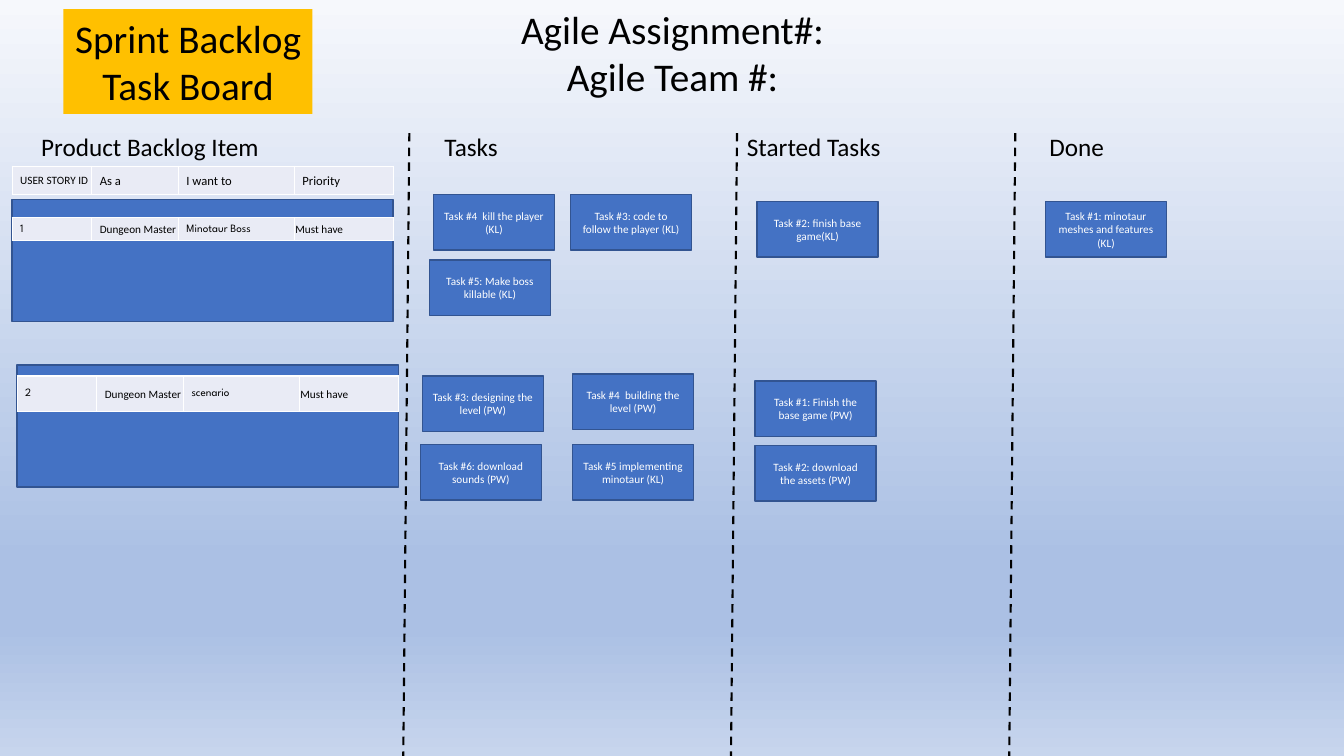
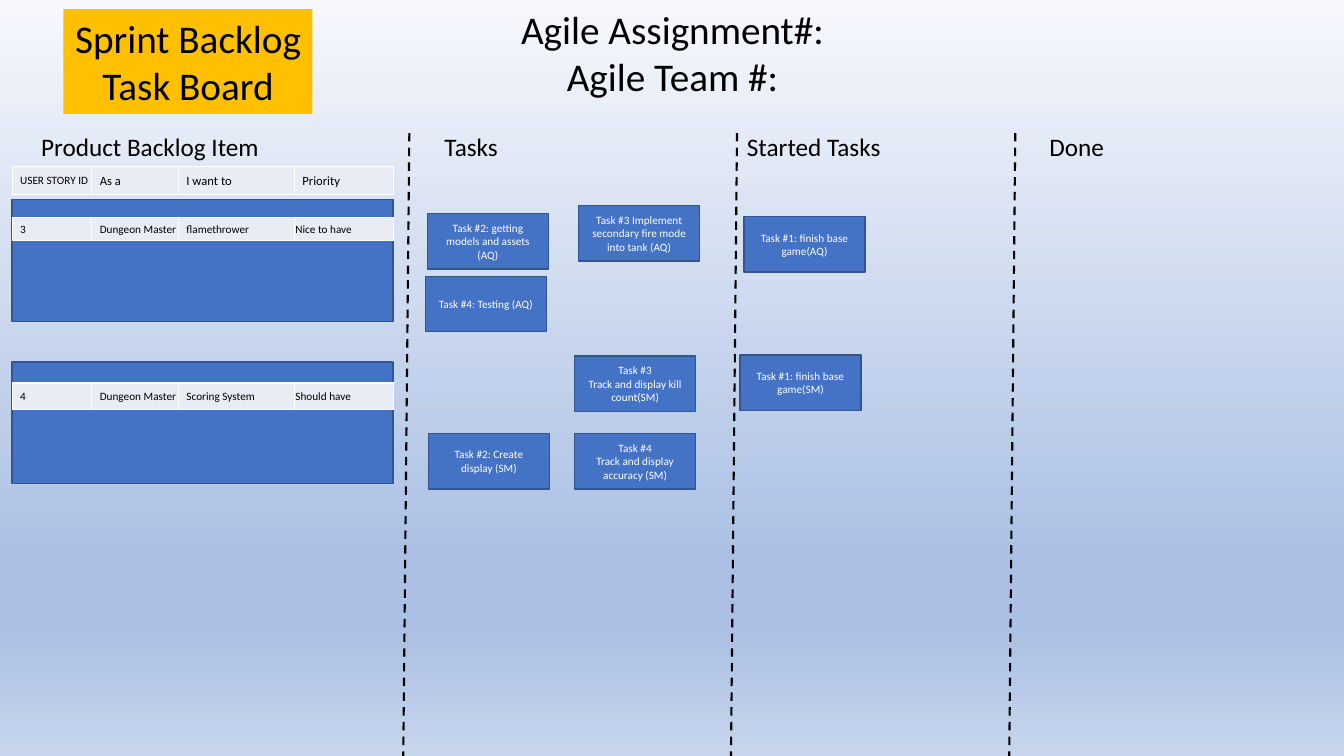
from lxml import etree
from pptx import Presentation
from pptx.dml.color import RGBColor
from pptx.enum.dml import MSO_LINE
from pptx.enum.shapes import MSO_CONNECTOR, MSO_SHAPE
from pptx.enum.text import MSO_ANCHOR, MSO_AUTO_SIZE, PP_ALIGN
from pptx.oxml.ns import qn
from pptx.util import Inches, Pt

DASH = MSO_LINE.DASH
STRAIGHT = MSO_CONNECTOR.STRAIGHT
RECTANGLE = MSO_SHAPE.RECTANGLE
TOP, MIDDLE = MSO_ANCHOR.TOP, MSO_ANCHOR.MIDDLE
FIT_SHAPE = MSO_AUTO_SIZE.SHAPE_TO_FIT_TEXT
LEFT, CENTER = PP_ALIGN.LEFT, PP_ALIGN.CENTER

BLACK = RGBColor(0x00, 0x00, 0x00)
WHITE = RGBColor(0xFF, 0xFF, 0xFF)
BLUE = RGBColor(0x44, 0x72, 0xC4)
DARK_BLUE = RGBColor(0x32, 0x54, 0x91)
GOLD = RGBColor(0xFF, 0xC0, 0x00)
PALE_BLUE = RGBColor(0xE9, 0xEB, 0xF5)
SKY_TOP = RGBColor(0xF6, 0xF8, 0xFC)
SKY_MIDDLE = RGBColor(0xAB, 0xC0, 0xE4)
SKY_BOTTOM = RGBColor(0xC7, 0xD5, 0xED)
SKY_STOPS = [(0, SKY_TOP), (74, SKY_MIDDLE), (83, SKY_MIDDLE), (100, SKY_BOTTOM)]

BODY_FONT = "Calibri"
ACCENT_FONT = "League Spartan"

BOARD_LEFT = 0.12
COLUMN_WIDTHS = [0.79, 0.86, 1.15, 0.98]
BOARD_WIDTH = sum(COLUMN_WIDTHS)
PANEL_HEIGHT = 1.21
CARD_WIDTH, CARD_HEIGHT = 1.2, 0.55
CELL_INSET, TIGHT_INSET = 0.08, 0.01
HEADINGS = ["Product Backlog Item", "Tasks", "Started Tasks", "Done"]
HEADING_TABS = [4, 7, 10]
DIVIDERS = [4.06, 7.31, 10.07]
DIVIDER_TOP, DIVIDER_BOTTOM, DIVIDER_SLANT = 1.32, 7.5, 0.06
STORY_HEADER = ["USER STORY ID", "As a", "I want to", "Priority"]

BOARDS = [
    {
        "stories": [
            (0.12, 1.98, 2.16, 0.23, ["1", "Dungeon Master", "Minotaur Boss", "Must have"]),
            (0.17, 3.62, 3.73, 0.35, ["2", "Dungeon Master", "scenario", "Must have"]),
        ],
        "story_fonts": [ACCENT_FONT, BODY_FONT, ACCENT_FONT, BODY_FONT],
        "cards": [
            (4.3, 1.93, "Task #4  kill the player (KL)"),
            (5.66, 1.93, "Task #3: code to follow the player (KL)"),
            (4.26, 2.58, "Task #5: Make boss killable (KL)"),
            (7.51, 2, "Task #2: finish base game(KL)"),
            (10.37, 2, "Task #1: minotaur meshes and features (KL)"),
            (4.19, 3.73, "Task #3: designing the level (PW)"),
            (5.68, 3.71, "Task #4  building the level (PW)"),
            (4.17, 4.41, "Task #6: download sounds (PW)"),
            (5.68, 4.41, "Task #5 implementing minotaur (KL)"),
            (7.49, 3.78, "Task #1: Finish the base game (PW)"),
            (7.49, 4.42, "Task #2: download the assets (PW)"),
        ],
    },
    {
        "stories": [
            (0.12, 1.98, 2.16, 0.23, ["3", "Dungeon Master", "flamethrower", "Nice to have"]),
            (0.12, 3.59, 3.8, 0.26, ["4", "Dungeon Master", "Scoring System", "Should have"]),
        ],
        "story_fonts": [BODY_FONT] * 4,
        "cards": [
            (4.24, 2.12, "Task #2: getting models and assets (AQ)"),
            (5.74, 2.04, "Task #3 Implement secondary fire mode into tank (AQ)"),
            (4.22, 2.74, "Task #4: Testing (AQ)"),
            (7.38, 2.15, "Task #1: finish base game(AQ)"),
            (5.7, 3.53, "Task #3\nTrack and display kill count(SM)"),
            (4.25, 4.3, "Task #2: Create display (SM)"),
            (5.7, 4.3, "Task #4\nTrack and display accuracy (SM)"),
            (7.34, 3.52, "Task #1: finish base game(SM)"),
        ],
    },
]


def paint_background(slide):
    fill = slide.background.fill
    fill.gradient()
    fill.gradient_angle = 270
    stop_list = next(slide.element.iter(qn("a:gsLst")))
    for stop in list(stop_list):
        stop_list.remove(stop)
    for percent, color in SKY_STOPS:
        stop = etree.SubElement(stop_list, qn("a:gs"), pos=str(percent * 1000))
        etree.SubElement(stop, qn("a:srgbClr"), val=str(color))


def write(text_frame, text, size, color=BLACK, align=LEFT, font=BODY_FONT):
    for index, line in enumerate(text.split("\n")):
        paragraph = text_frame.add_paragraph() if index else text_frame.paragraphs[0]
        paragraph.alignment = align
        run = paragraph.add_run()
        run.text = line
        run.font.size = Pt(size)
        run.font.name = font
        run.font.color.rgb = color


def fit_to_text(text_frame):
    text_frame.word_wrap = False
    text_frame.auto_size = FIT_SHAPE
    text_frame.vertical_anchor = TOP


def add_text(slide, left, top, width, height, text, size, align=LEFT):
    box = slide.shapes.add_textbox(Inches(left), Inches(top), Inches(width), Inches(height))
    fit_to_text(box.text_frame)
    write(box.text_frame, text, size, align=align)
    return box


def add_rectangle(slide, left, top, width, height, fill, line=None):
    shape = slide.shapes.add_shape(
        RECTANGLE, Inches(left), Inches(top), Inches(width), Inches(height))
    shape.shadow.inherit = False
    shape.fill.solid()
    shape.fill.fore_color.rgb = fill
    if line is None:
        shape.line.fill.background()
    else:
        shape.line.color.rgb = line
        shape.line.width = Pt(1)
    return shape


def add_card(slide, left, top, text):
    card = add_rectangle(slide, left, top, CARD_WIDTH, CARD_HEIGHT, BLUE, DARK_BLUE)
    card.text_frame.word_wrap = True
    card.text_frame.vertical_anchor = MIDDLE
    write(card.text_frame, text, 8, WHITE, CENTER)


def add_divider(slide, left):
    divider = slide.shapes.add_connector(
        STRAIGHT, Inches(left), Inches(DIVIDER_TOP),
        Inches(left - DIVIDER_SLANT), Inches(DIVIDER_BOTTOM))
    divider.line.color.rgb = BLACK
    divider.line.width = Pt(1.5)
    divider.line.dash_style = DASH
    etree.SubElement(divider.element.spPr, qn("a:effectLst"))


def add_headings(slide):
    box = add_text(slide, 0.31, 1.25, 10.85, 0.4, "\t".join(HEADINGS), 18)
    properties = box.text_frame.paragraphs[0]._p.get_or_add_pPr()
    tab_list = etree.SubElement(properties, qn("a:tabLst"))
    for position in HEADING_TABS:
        etree.SubElement(tab_list, qn("a:tab"), pos=str(Inches(position)), algn="l")


def add_borders(cell):
    properties = cell._tc.get_or_add_tcPr()
    for side in ("a:lnL", "a:lnR", "a:lnT", "a:lnB"):
        border = etree.SubElement(properties, qn(side), w=str(Pt(1)))
        fill = etree.SubElement(border, qn("a:solidFill"))
        etree.SubElement(fill, qn("a:srgbClr"), val=str(WHITE))


def add_story_row(slide, left, top, height, texts, sizes, fonts, last_inset):
    frame = slide.shapes.add_table(
        1, len(texts), Inches(left), Inches(top), Inches(BOARD_WIDTH), Inches(height))
    table = frame.table
    table.first_row = False
    table.horz_banding = False
    insets = [CELL_INSET] * (len(texts) - 1) + [last_inset]
    for index, text in enumerate(texts):
        table.columns[index].width = Inches(COLUMN_WIDTHS[index])
        cell = table.cell(0, index)
        add_borders(cell)
        cell.fill.solid()
        cell.fill.fore_color.rgb = PALE_BLUE
        cell.vertical_anchor = MIDDLE
        cell.margin_left = Inches(insets[index])
        cell.margin_top = cell.margin_right = Inches(TIGHT_INSET)
        cell.margin_bottom = 0
        write(cell.text_frame, text, sizes[index], font=fonts[index])


def add_story(slide, story, fonts):
    left, panel_top, row_top, row_height, texts = story
    add_rectangle(slide, left, panel_top, BOARD_WIDTH, PANEL_HEIGHT, BLUE, DARK_BLUE)
    add_story_row(slide, left, row_top, row_height, texts, [8] * 4, fonts, TIGHT_INSET)


def add_board_frame(slide):
    paint_background(slide)
    banner = add_rectangle(slide, 0.63, 0.09, 2.47, 1.04, GOLD)
    fit_to_text(banner.text_frame)
    write(banner.text_frame, "Sprint Backlog\nTask Board", 28, align=CENTER)
    add_text(slide, 5.05, 0, 3.24, 1.04, "Agile Assignment#:\nAgile Team #:", 28, CENTER)
    add_headings(slide)
    add_story_row(slide, BOARD_LEFT, 1.65, 0.28, STORY_HEADER,
                  [8, 9, 9, 9], [BODY_FONT] * 4, CELL_INSET)
    for left in DIVIDERS:
        add_divider(slide, left)


def main():
    presentation = Presentation()
    presentation.slide_width = Inches(13.33)
    presentation.slide_height = Inches(7.5)
    for board in BOARDS:
        slide = presentation.slides.add_slide(presentation.slide_layouts[6])
        add_board_frame(slide)
        for story in board["stories"]:
            add_story(slide, story, board["story_fonts"])
        for left, top, text in board["cards"]:
            add_card(slide, left, top, text)
    presentation.save("out.pptx")


main()
